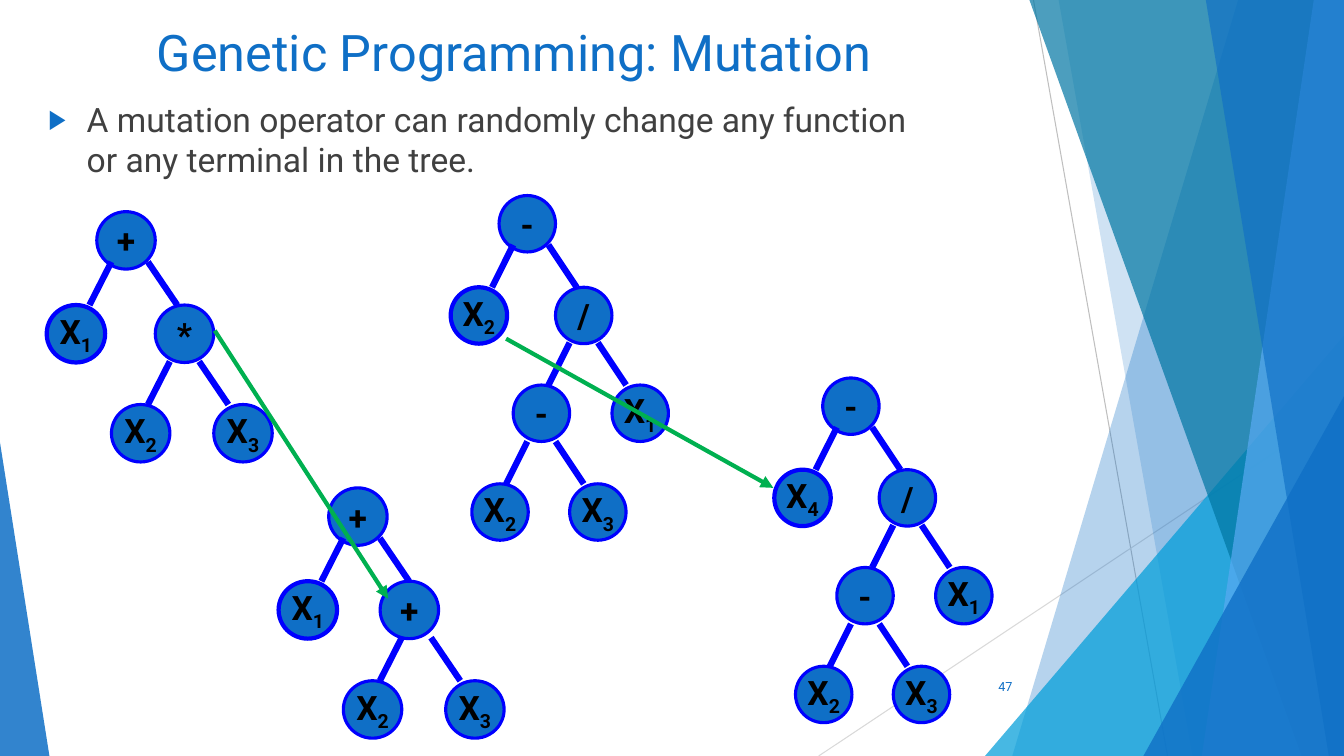
import pptx
import pptx.util
import pptx.dml.color
import pptx.enum.shapes
import pptx.enum.text
import pptx.oxml.ns
from lxml import etree

Inches = pptx.util.Inches
ALIGN = pptx.enum.text.PP_ALIGN
ANCHOR = pptx.enum.text.MSO_ANCHOR
SHAPE = pptx.enum.shapes.MSO_SHAPE

FONT = "Roboto"
BLUE, EDGE_BLUE, GREEN = "0F6FC6", "0000FF", "00B050"

# Unit tree, measured from the top left corner of its root.
NODE_SIZE = 0.56
LEVEL_DROP = 0.42
NODE_SLOTS = [(0, 0), (-0.48, 0.91), (0.56, 0.91), (0.14, 1.88),
              (1.12, 1.88), (-0.27, 2.86), (0.7, 2.86)]
EDGE_STARTS = [0.14, 0.49, 0.7, 0.98, 0.28, 0.56]
LEFT_RUN, RIGHT_RUN = -0.21, 0.28


def colour(hex_text):
    return pptx.dml.color.RGBColor.from_string(hex_text)


def add_xml(parent, tag, **attributes):
    return etree.SubElement(parent, pptx.oxml.ns.qn(tag), attributes)


def write_text(shape, text, size=24, color="000000", bold=False,
               align=ALIGN.LEFT, anchor=ANCHOR.TOP, wrap=True):
    """Fill the shape with one paragraph; what follows an underscore is subscript."""
    frame = shape.text_frame
    frame.word_wrap = wrap
    frame.auto_size = pptx.enum.text.MSO_AUTO_SIZE.NONE
    frame.vertical_anchor = anchor
    para = frame.paragraphs[0]
    para.alignment = align
    for index, part in enumerate(text.split("_")):
        span = para.add_run()
        span.text = part
        span.font.name = FONT
        span.font.size = pptx.util.Pt(size)
        span.font.bold = bold
        span.font.color.rgb = colour(color)
        if index:
            span._r.get_or_add_rPr().set("baseline", "-25000")
    return para


def place(shape, left, top, width, height):
    shape.left, shape.top = Inches(left), Inches(top)
    shape.width, shape.height = Inches(width), Inches(height)


def add_line(shapes, start, end, color, width, arrow=False):
    line = shapes.add_connector(
        pptx.enum.shapes.MSO_CONNECTOR.STRAIGHT,
        *[Inches(value) for value in (*start, *end)])
    line.line.color.rgb = colour(color)
    line.line.width = pptx.util.Pt(width)
    if arrow:
        add_xml(line.line._get_or_add_ln(), "a:tailEnd", type="triangle")
    add_xml(line._element.spPr, "a:effectLst")


def fill_glass(shape, color, opacity):
    shape.shadow.inherit = False
    shape.line.fill.background()
    shape.fill.solid()
    shape.fill.fore_color.rgb = colour(color)
    color_node = shape._element.spPr.find(".//" + pptx.oxml.ns.qn("a:srgbClr"))
    add_xml(color_node, "a:alpha", val=str(opacity * 1000))


def add_facet(shapes, points, color, opacity):
    corners = [(Inches(x), Inches(y)) for x, y in points]
    builder = shapes.build_freeform(*corners[0])
    builder.add_line_segments(corners[1:], close=True)
    fill_glass(builder.convert_to_shape(), color, opacity)


def add_wedge(shapes, box, apex, color, opacity):
    wedge = shapes.add_shape(SHAPE.ISOSCELES_TRIANGLE,
                             *[Inches(value) for value in box])
    wedge.adjustments[0] = apex
    fill_glass(wedge, color, opacity)


def add_backdrop(page, width, height):
    shapes = page.shapes.add_group_shape().shapes
    add_line(shapes, (10.25, 0), (11.58, height), "BFBFBF", 0.75)
    add_line(shapes, (width, 4.03), (8.12, height), "D9D9D9", 0.75)

    def add_band(top_left, bottom_left, color, opacity):
        add_facet(shapes, [(top_left, 0), (width, 0), (width, height),
                           (bottom_left, height)], color, opacity)

    def add_corner(left, top, color, opacity):
        box = (left, top, width - left, height - top)
        add_wedge(shapes, box, 1, color, opacity)

    add_band(12.28, 10.04, BLUE, 30)
    add_band(10.5, 11.83, BLUE, 20)
    add_corner(9.77, 3.33, "009DD9", 72)
    add_band(10.21, 12.91, "0076A3", 70)
    add_band(13.03, 11.92, "59AAF2", 70)
    add_band(11.96, 13.18, BLUE, 65)
    add_corner(11.34, 3.93, BLUE, 80)
    add_wedge(shapes, (0, 4.39, 0.49, height - 4.39), 0, BLUE, 85)


def add_title(page, text, *box):
    place(page.shapes.title, *box)
    write_text(page.shapes.title, text, size=36, color=BLUE, align=ALIGN.CENTER)


def add_bullet(page, text, *box):
    body = page.placeholders[1]
    place(body, *box)
    para = write_text(body, text, color="404040")
    para.space_before = pptx.util.Pt(10)
    props = para._p.get_or_add_pPr()
    props.set("marL", str(Inches(0.38)))
    props.set("indent", str(Inches(-0.38)))
    add_xml(add_xml(props, "a:buClr"), "a:srgbClr", val=BLUE)
    add_xml(props, "a:buSzPct", val="80000")
    add_xml(props, "a:buFont", typeface="Arial")
    add_xml(props, "a:buChar", char="▶")


def add_page_number(page, text, *box):
    number = page.shapes.add_textbox(*[Inches(value) for value in box])
    write_text(number, text, size=9, color=BLUE, align=ALIGN.RIGHT,
               anchor=ANCHOR.MIDDLE)


def add_node(shapes, label, left, top, width, height, outline):
    node = shapes.add_shape(SHAPE.OVAL, Inches(left), Inches(top),
                            Inches(width), Inches(height))
    node.shadow.inherit = False
    node.fill.solid()
    node.fill.fore_color.rgb = colour(BLUE)
    node.line.color.rgb = colour(EDGE_BLUE)
    node.line.width = pptx.util.Pt(outline)
    write_text(node, label, bold=True, align=ALIGN.CENTER,
               anchor=ANCHOR.MIDDLE, wrap=False)


def add_tree(page, labels, left, top, width, height, right_shift=0):
    """Draw a tree whose root fills the given box; labels run level by level."""
    shapes = page.shapes.add_group_shape().shapes
    scale_x, scale_y = width / NODE_SIZE, height / NODE_SIZE

    def to_page(x, y):
        return left + x * scale_x, top + y * scale_y

    for index, (label, slot) in enumerate(zip(labels, NODE_SLOTS)):
        x, y = to_page(*slot)
        if index == 2:
            x += right_shift
        add_node(shapes, label, x, y, width, height, 3 if index == 1 else 2.25)
    for index, start_x in enumerate(EDGE_STARTS[:len(labels) - 1]):
        end_y = NODE_SLOTS[index + 1][1]
        run = RIGHT_RUN if index % 2 else LEFT_RUN
        add_line(shapes, to_page(start_x, end_y - LEVEL_DROP),
                 to_page(start_x + run, end_y), EDGE_BLUE, 4.5)


def main():
    deck = pptx.Presentation()
    deck.slide_width, deck.slide_height = Inches(13.33), Inches(7.5)
    page = deck.slides.add_slide(deck.slide_layouts[1])
    add_backdrop(page, 13.33, 7.5)
    add_title(page, "Genetic Programming: Mutation", 0.6, 0.16, 9, 1.25)
    add_bullet(page, "A mutation operator can randomly change any function "
               "or any terminal in the tree.", 0.38, 0.93, 9, 4.95)
    add_page_number(page, "47", 9.39, 6.61, 0.75, 0.4)

    add_tree(page, ["+", "X_1", "*", "X_2", "X_3"], 0.96, 2.1, 0.58, 0.57)
    add_tree(page, ["+", "X_1", "+", "X_2", "X_3"], 3.26, 4.84, 0.58, 0.57,
             right_shift=-0.07)
    lower_labels = ["/", "-", "X_1", "X_2", "X_3"]
    add_tree(page, ["-", "X_2", *lower_labels], 4.95, 1.94, 0.56, 0.56)
    add_tree(page, ["-", "X_4", *lower_labels], 8.16, 3.75, 0.56, 0.56)

    add_line(page.shapes, (2.13, 3.28), (3.85, 5.94), GREEN, 3, arrow=True)
    add_line(page.shapes, (5.02, 3.36), (7.67, 4.84), GREEN, 3, arrow=True)
    deck.save("out.pptx")


if __name__ == "__main__":
    main()
